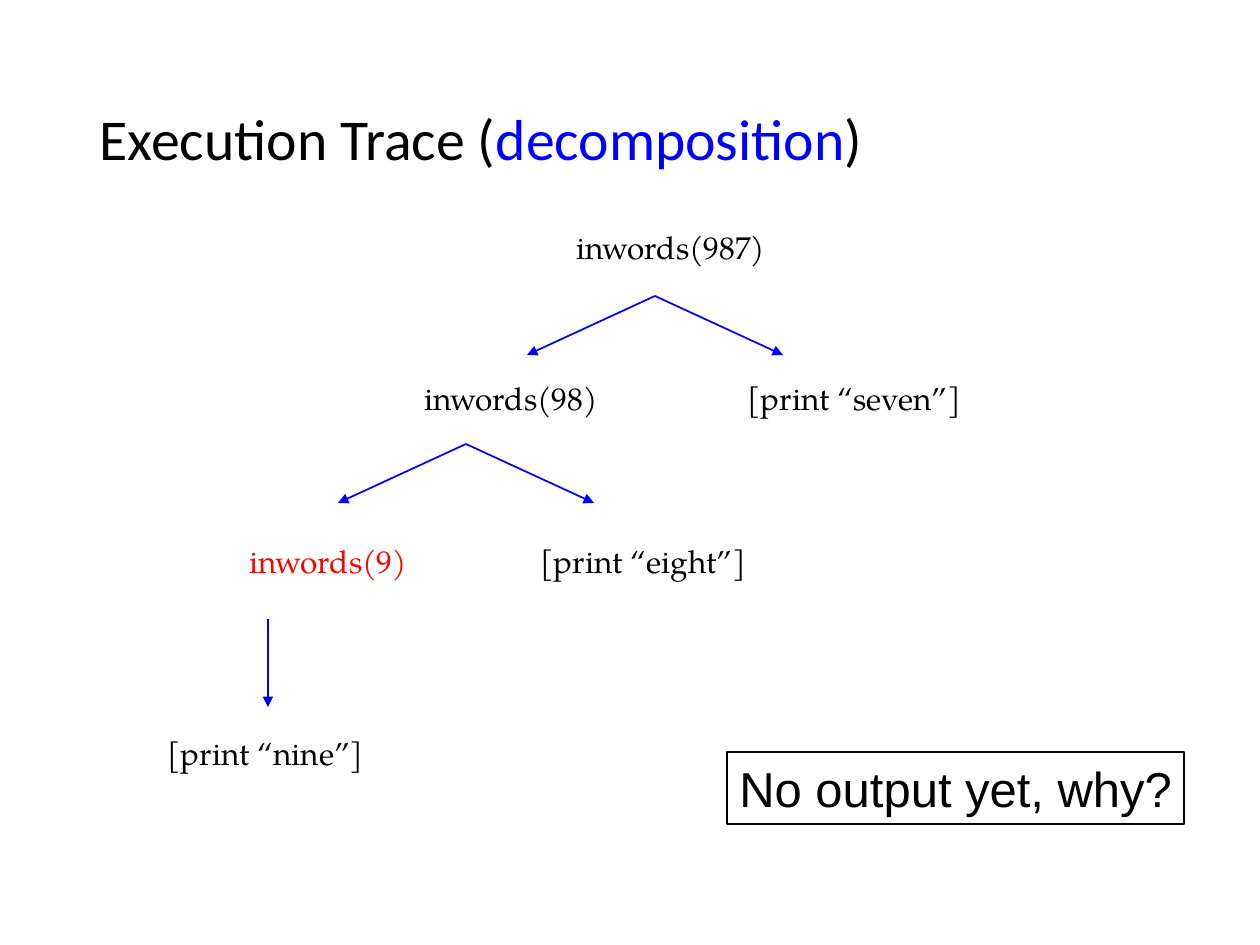
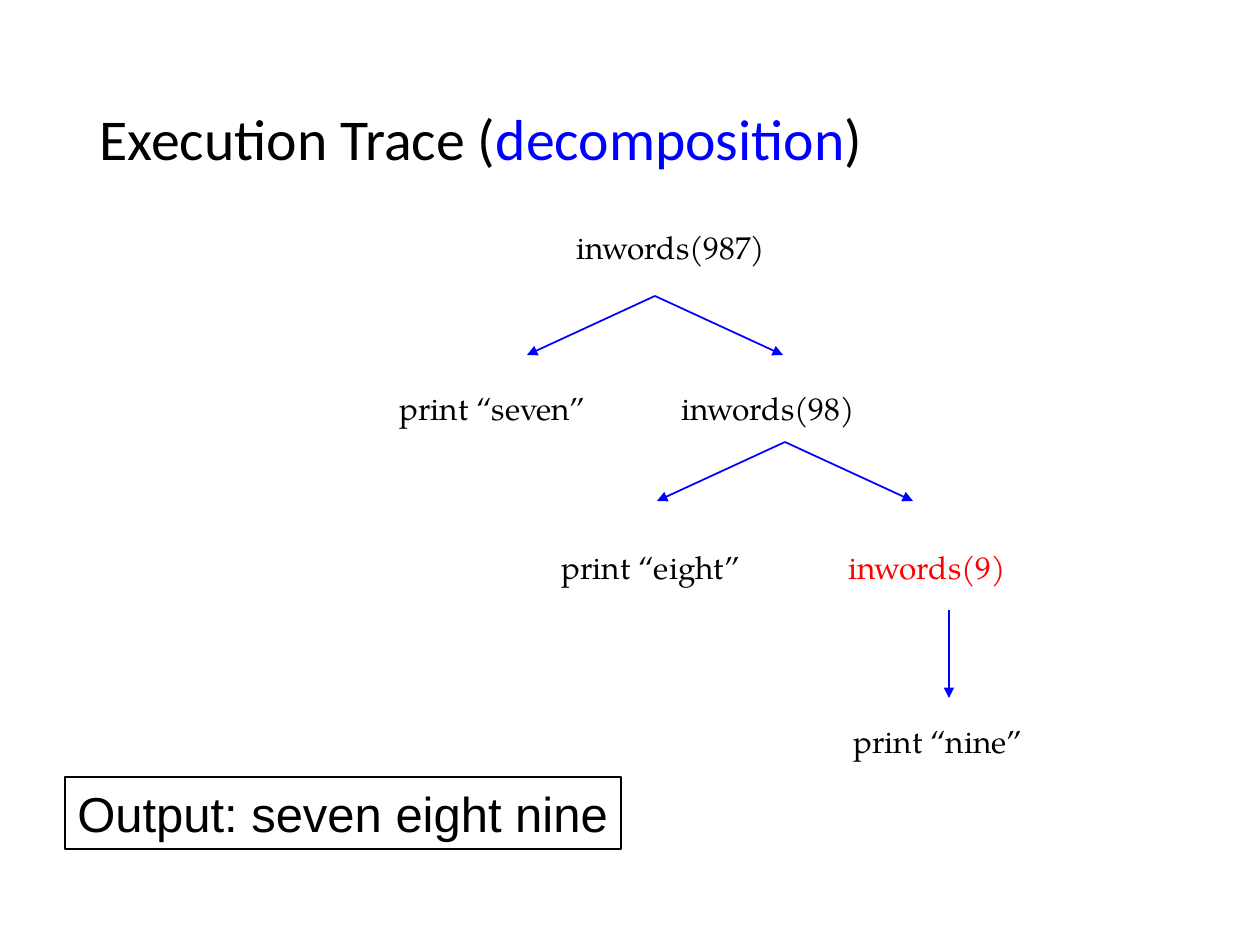
from pptx import Presentation
from pptx import util as u
from pptx.dml.color import RGBColor
from pptx.enum import shapes, text
from pptx.oxml.ns import qn
from lxml import etree

PX = 914400 / 126
HUES = {"ink": "000000", "accent": "0000FF", "base": "FF0000"}
TREE, HEAD, NOTE = "TeX Gyre Pagella", "Calibri", "Arial"
ROOT = ("inwords(987)", 564, 222, 223, "ink")
FORK = (655, 296)

# Each label: words, left, top, width, hue
TRACES = [
    {
        "labels": [
            ROOT,
            ("inwords(98)", 412, 373, 207, "ink"),
            ("[print “seven”]", 735, 373, 246, "ink"),
            ("inwords(9)", 237, 536, 191, "base"),
            ("[print “eight”]", 528, 536, 239, "ink"),
            ("[print “nine”]", 155, 728, 227, "ink"),
        ],
        "forks": [FORK, (466, 444)],
        "drop": (268, 619),
        "note": ("No output yet, why?", 727, 752, 457),
    },
    {
        "labels": [
            ROOT,
            ("print “seven”", 387, 383, 221, "ink"),
            ("inwords(98)", 669, 383, 207, "ink"),
            ("print “eight”", 549, 542, 213, "ink"),
            ("inwords(9)", 836, 542, 191, "base"),
            ("print “nine”", 841, 716, 204, "ink"),
        ],
        "forks": [FORK, (785, 442)],
        "drop": (949, 610),
        "note": ("Output: seven eight nine", 65, 777, 556),
    },
]


def emu(*sizes):
    return [u.Emu(round(size * PX)) for size in sizes]


def hue(name):
    return RGBColor.from_string(HUES[name])


def style(run, face, size, tint):
    run.font.name = face
    run.font.size = u.Pt(size)
    run.font.color.rgb = hue(tint)


def add_title(slide):
    title = slide.shapes.title
    title.left, title.top, title.width, title.height = emu(87, 50, 1087, 183)
    frame = title.text_frame
    frame.vertical_anchor = text.MSO_ANCHOR.MIDDLE
    frame.auto_size = text.MSO_AUTO_SIZE.NONE
    para = frame.paragraphs[0]
    para.alignment = text.PP_ALIGN.LEFT
    para.line_spacing = 0.9
    parts = [("Execution Trace (", "ink"), ("decomposition", "accent"), (")", "ink")]
    for words, tint in parts:
        run = para.add_run()
        run.text = words
        style(run, HEAD, 33, tint)


def add_text(slide, words, box, face, size, tint="ink"):
    """Add one line of text; a zero right inset leaves it room to fit."""
    shape = slide.shapes.add_textbox(*emu(*box))
    frame = shape.text_frame
    frame.text = words
    frame.word_wrap = True
    frame.margin_right = 0
    style(frame.paragraphs[0].runs[0], face, size, tint)
    return shape


def add_arrow(slide, x, y, dx, dy):
    """Draw an arrow from (x, y) that ends dx across and dy down."""
    line = slide.shapes.add_connector(
        shapes.MSO_CONNECTOR.STRAIGHT, *emu(x, y, x + dx, y + dy))
    line.line.color.rgb = hue("accent")
    line.line.width = u.Pt(1)
    props = line._element.spPr
    tail = etree.SubElement(props.find(qn("a:ln")), qn("a:tailEnd"))
    tail.set("type", "triangle")
    etree.SubElement(props, qn("a:effectLst"))


def add_tree(slide, labels, forks, drop):
    for words, left, top, width, tint in labels:
        add_text(slide, words, (left, top, width, 50), TREE, 18, tint)
    for x, y in forks:
        for side in (-1, 1):
            add_arrow(slide, x, y, side * 128, 59)
    add_arrow(slide, *drop, 0, 88)


def add_note(slide, words, left, top, width):
    note = add_text(slide, words, (left, top, width, 72), NOTE, 28)
    note.line.color.rgb = hue("ink")
    note.line.width = u.Pt(1)


def main():
    deck = Presentation()
    deck.slide_width, deck.slide_height = emu(1260, 945)
    for trace in TRACES:
        slide = deck.slides.add_slide(deck.slide_layouts[5])
        add_title(slide)
        add_tree(slide, trace["labels"], trace["forks"], trace["drop"])
        add_note(slide, *trace["note"])
    deck.save("out.pptx")


if __name__ == "__main__":
    main()
